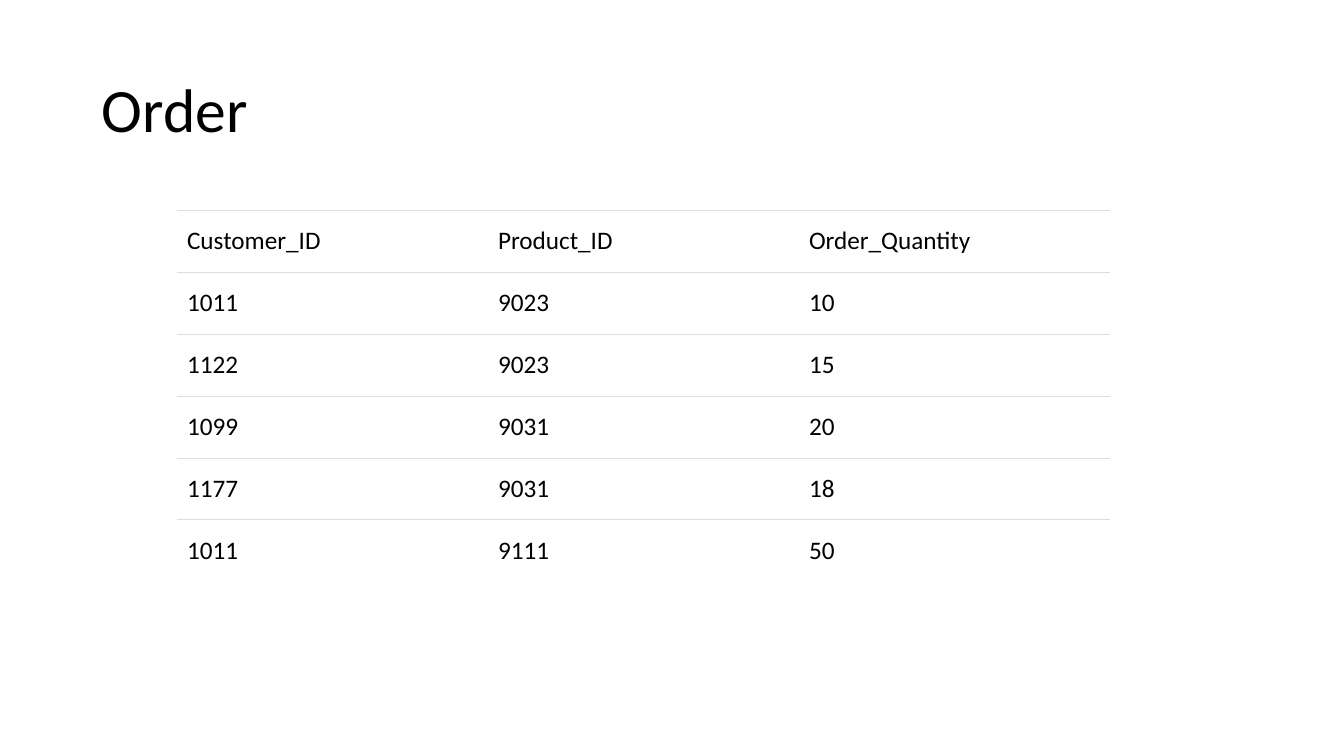
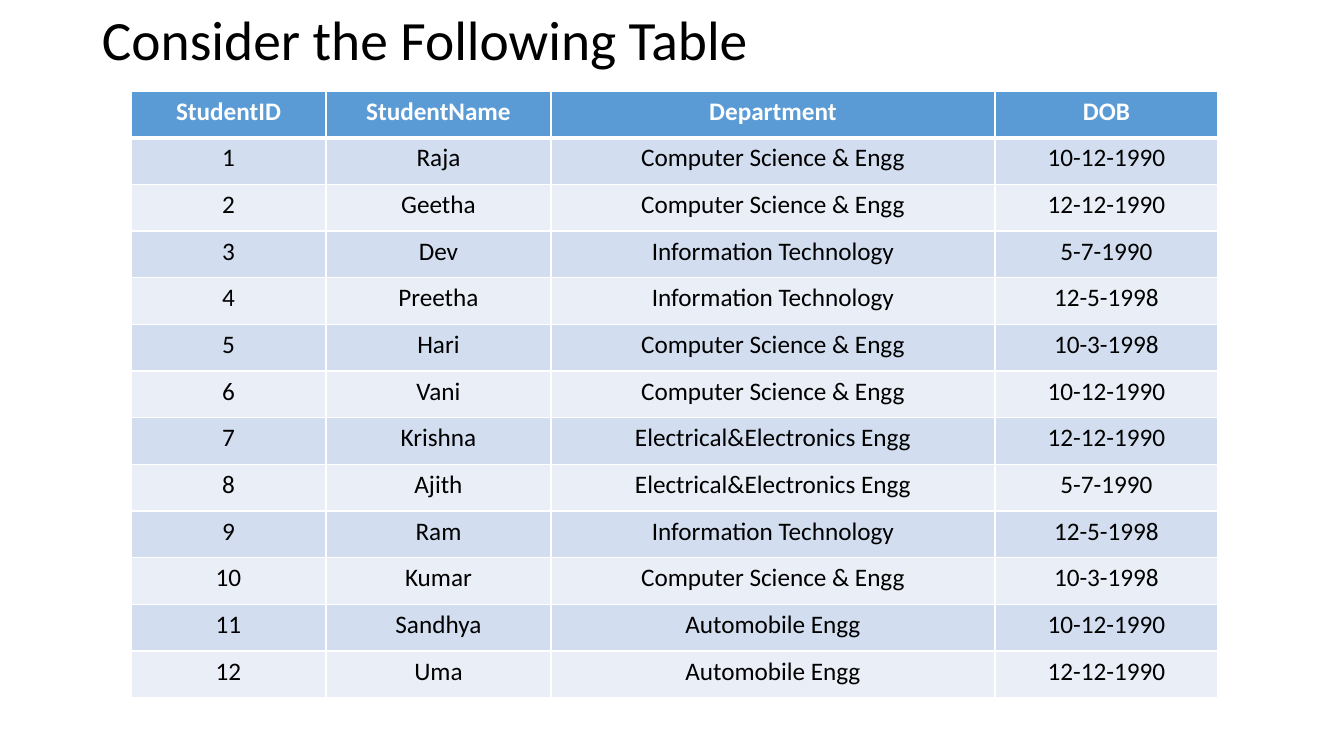
from dataclasses import dataclass

from pptx import Presentation
from pptx.dml.color import RGBColor
from pptx.enum.text import MSO_ANCHOR, PP_ALIGN
from pptx.oxml import parse_xml
from pptx.oxml.ns import nsdecls
from pptx.util import Emu, Pt


@dataclass(frozen=True)
class Theme:
    """Colours, font and type sizes of the deck."""
    font: str = "Calibri"
    ink: str = "000000"
    paper: str = "FFFFFF"
    rule: str = "DDDDDD"
    header: str = "5B9BD5"
    bands: tuple = ("D2DEEF", "EAEFF7")
    title_size: float = 44
    compact_title_size: float = 39.6
    cell_size: float = 18


def px(n):
    """Turn slide pixels into EMU."""
    return Emu(round(n * 12192000 / 1344))


class Deck:
    """Holds the presentation, its theme and the current slide."""

    def __init__(self, theme):
        """Start an empty widescreen deck."""
        self.t = theme
        self.prs = Presentation()
        self.prs.slide_width, self.prs.slide_height = px(1344), px(756)
        self.s = None

    def slide(self):
        """Add a blank slide and make it current."""
        self.s = self.prs.slides.add_slide(self.prs.slide_layouts[6])
        fill = self.s.background.fill
        fill.solid()
        fill.fore_color.rgb = RGBColor.from_string(self.t.paper)

    def run(self, p, text, size, color, bold=False):
        """Add one styled run to a paragraph."""
        r = p.add_run()
        r.text = text
        r.font.name, r.font.size, r.font.bold = self.t.font, Pt(size), bold
        r.font.color.rgb = RGBColor.from_string(color)

    def title(self, text, y, h, size):
        """Add the slide title."""
        tf = self.s.shapes.add_textbox(px(92), px(y), px(1159), px(h)).text_frame
        tf.word_wrap = True
        tf.vertical_anchor = MSO_ANCHOR.MIDDLE
        p = tf.paragraphs[0]
        p.line_spacing = 0.9
        self.run(p, text, size, self.t.ink)

    def table(self, x, y, h, cols, rows):
        """Add a table with even rows and yield each cell with its place."""
        frame = self.s.shapes.add_table(
            len(rows), len(cols), px(x), px(y), px(sum(cols)), px(h))
        tbl = frame.table
        tbl.first_row = tbl.horz_banding = False
        for col, w in zip(tbl.columns, cols):
            col.width = px(w)
        for i, row in enumerate(rows):
            for j, text in enumerate(row):
                yield i, tbl.cell(i, j), text

    def cell(self, cell, text, fill, color, bold=False):
        """Fill a cell, write its text and return its paragraph."""
        cell.fill.solid()
        cell.fill.fore_color.rgb = RGBColor.from_string(fill)
        p = cell.text_frame.paragraphs[0]
        self.run(p, text, self.t.cell_size, color, bold)
        return p

    def borders(self, cell, color, **widths):
        """Draw the given sides of a cell in points and clear the others."""
        tc_pr = cell._tc.get_or_add_tcPr()
        for i, side in enumerate("LRTB"):
            w = widths.get(side, 0)
            paint = (f'<a:solidFill><a:srgbClr val="{color}"/></a:solidFill>'
                     if w else "<a:noFill/>")
            tc_pr.insert(i, parse_xml(
                f'<a:ln{side} {nsdecls("a")} w="{Pt(w)}">{paint}</a:ln{side}>'))

    def ruled_table(self, x, y, h, cols, rows):
        """Add a plain table with thin rules above each row."""
        for i, cell, text in self.table(x, y, h, cols, rows):
            self.cell(cell, text, self.t.paper, self.t.ink)
            cell.vertical_anchor = MSO_ANCHOR.MIDDLE
            cell.margin_top = cell.margin_bottom = px(6)
            below = 0.75 if i < len(rows) - 1 else 0
            self.borders(cell, self.t.rule, T=0.75, B=below)

    def banded_table(self, x, y, h, cols, rows):
        """Add a centred table with a coloured header and banded rows."""
        for i, cell, text in self.table(x, y, h, cols, rows):
            head = i == 0
            fill = self.t.header if head else self.t.bands[(i - 1) % 2]
            color = self.t.paper if head else self.t.ink
            p = self.cell(cell, text, fill, color, head)
            p.alignment = PP_ALIGN.CENTER
            self.borders(cell, self.t.paper, L=1, R=1,
                         T=3 if i == 1 else 1, B=3 if head else 1)


ORDERS = [
    ("Customer_ID", "Product_ID", "Order_Quantity"),
    ("1011", "9023", "10"),
    ("1122", "9023", "15"),
    ("1099", "9031", "20"),
    ("1177", "9031", "18"),
    ("1011", "9111", "50"),
]

CSE = "Computer Science & Engg"
IT = "Information Technology"
EEE = "Electrical&Electronics Engg"
AUTO = "Automobile Engg"
STUDENTS = [
    ("Raja", CSE, "10-12-1990"),
    ("Geetha", CSE, "12-12-1990"),
    ("Dev", IT, "5-7-1990"),
    ("Preetha", IT, "12-5-1998"),
    ("Hari", CSE, "10-3-1998"),
    ("Vani", CSE, "10-12-1990"),
    ("Krishna", EEE, "12-12-1990"),
    ("Ajith", EEE, "5-7-1990"),
    ("Ram", IT, "12-5-1998"),
    ("Kumar", CSE, "10-3-1998"),
    ("Sandhya", AUTO, "10-12-1990"),
    ("Uma", AUTO, "12-12-1990"),
]


def main():
    """Build both slides and save the deck."""
    theme = Theme()
    deck = Deck(theme)

    deck.slide()
    deck.title("Order", 40, 146, theme.title_size)
    deck.ruled_table(177, 210, 372, [311] * 3, ORDERS)

    deck.slide()
    deck.title("Consider the Following Table", 10, 64, theme.compact_title_size)
    numbered = [(str(n), *student) for n, student in enumerate(STUDENTS, 1)]
    header = ("StudentID", "StudentName", "Department", "DOB")
    deck.banded_table(131, 91, 607, [195, 225, 444, 223], [header, *numbered])

    deck.prs.save("out.pptx")


if __name__ == "__main__":
    main()
